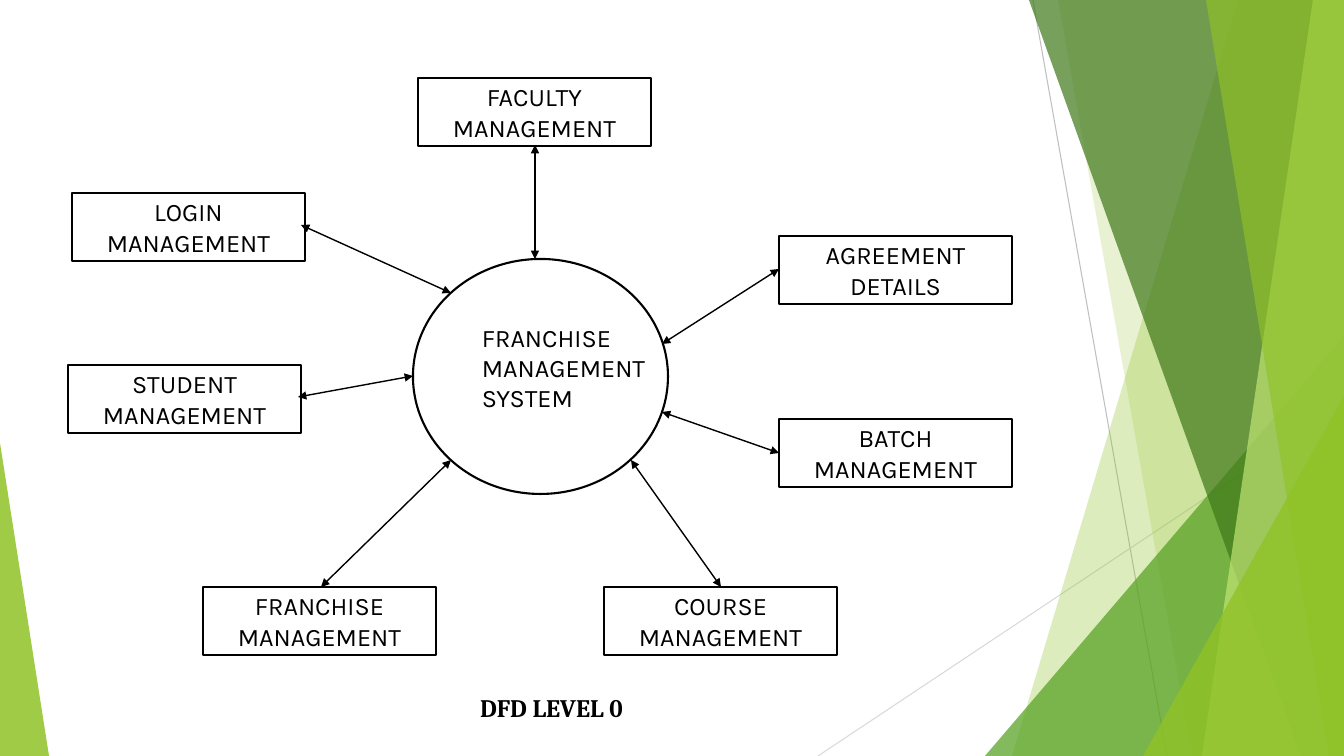
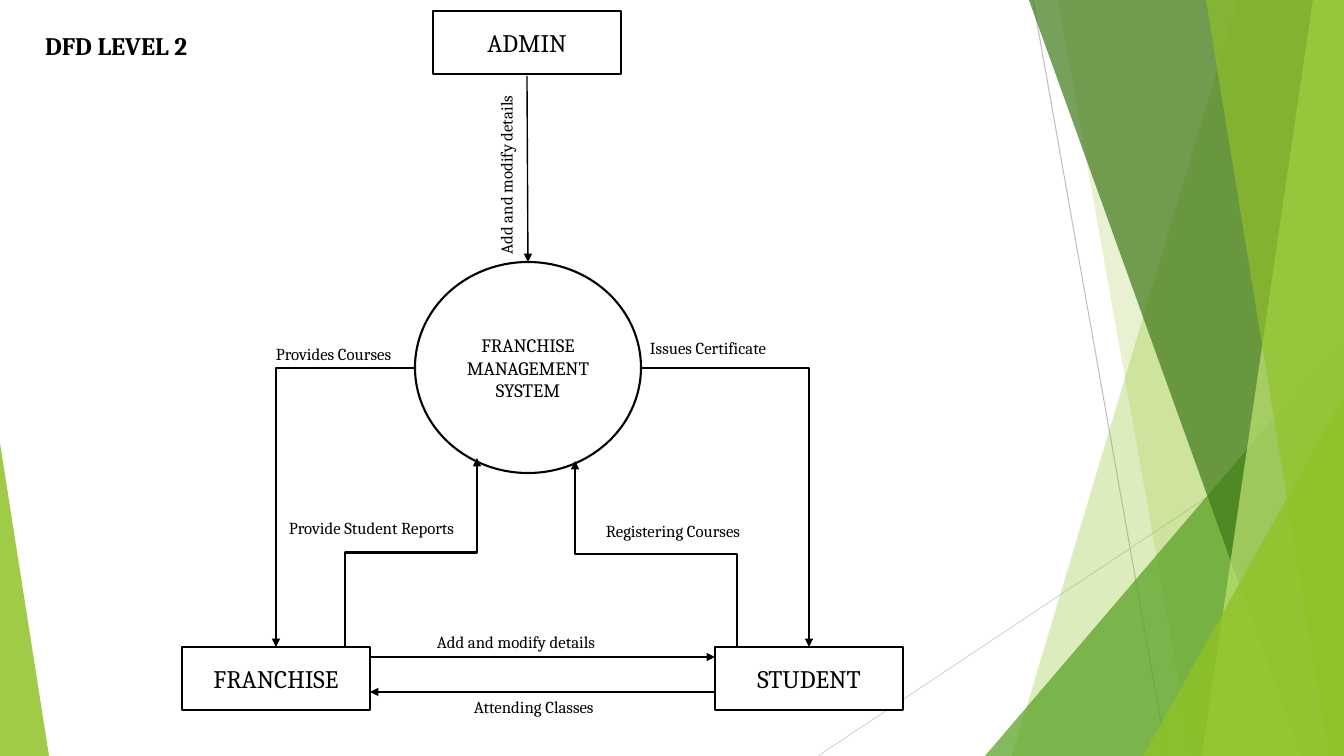
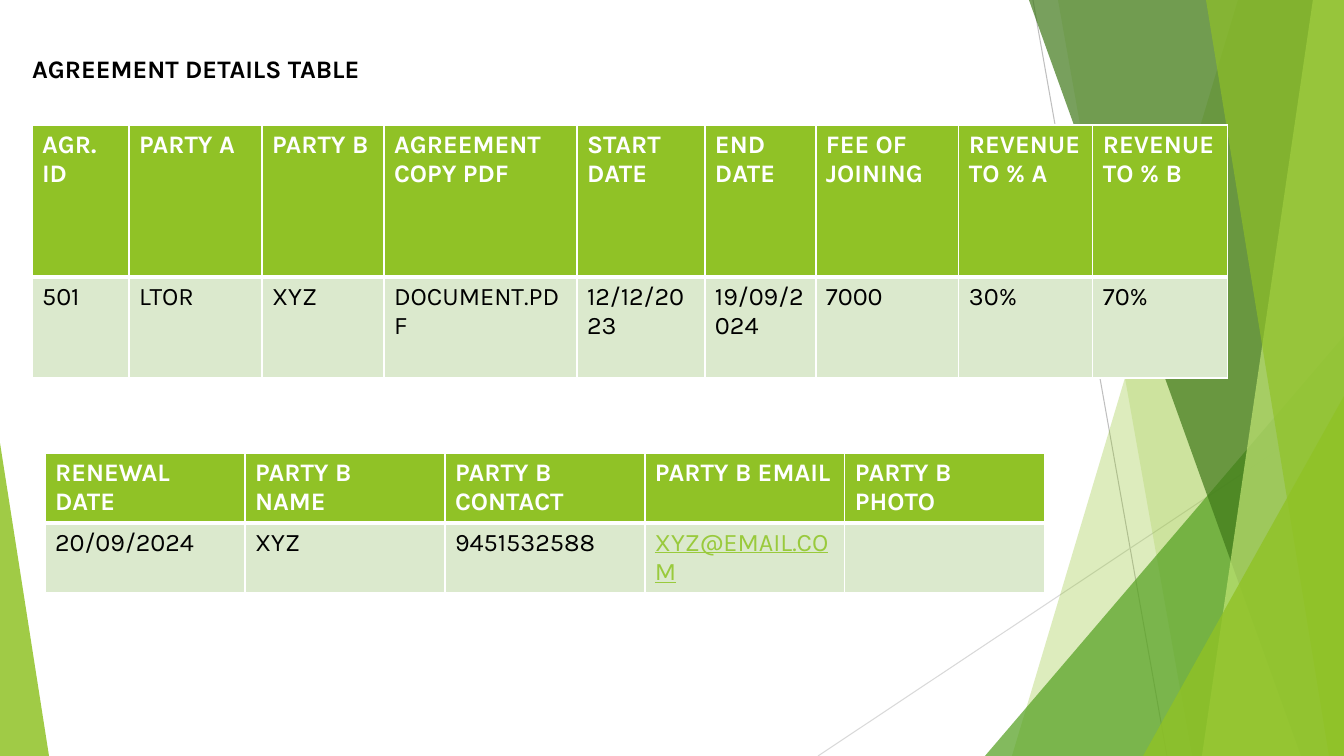
from lxml import etree
from pptx import Presentation
from pptx import util as u
from pptx.dml.color import RGBColor
from pptx.enum import shapes, text
from pptx.oxml import ns

SCALE = 914400 / 100.8
PAGE_W, PAGE_H = 1344, 756
BLACK = RGBColor(0x00, 0x00, 0x00)
WHITE = RGBColor(0xFF, 0xFF, 0xFF)
LIME = RGBColor(0x90, 0xC2, 0x26)
GREEN = RGBColor(0x54, 0xA0, 0x21)
FOREST = RGBColor(0x3F, 0x78, 0x19)
PALE_LIME = RGBColor(0xC0, 0xE4, 0x74)
PALE_ROW = RGBColor(0xDB, 0xE9, 0xCD)
LINK = RGBColor(0x99, 0xCA, 0x3C)
GREY = RGBColor(0xBF, 0xBF, 0xBF)
LIGHT_GREY = RGBColor(0xD9, 0xD9, 0xD9)
KARLA, CAMBRIA = "Karla", "Cambria"
LEFT, CENTER = text.PP_ALIGN.LEFT, text.PP_ALIGN.CENTER
SHAPE, LINK_KIND = shapes.MSO_SHAPE, shapes.MSO_CONNECTOR


def px(*lengths):
    return [u.Emu(round(length * SCALE)) for length in lengths]


def write(frame, wording, font, size=18, color=BLACK, bold=False, align=LEFT, underline=False):
    frame.word_wrap = True
    for index, line in enumerate(wording.split("\n")):
        para = frame.add_paragraph() if index else frame.paragraphs[0]
        para.alignment = align
        span = para.add_run()
        span.text = line
        span.font.name = font
        span.font.size = u.Pt(size)
        span.font.bold = bold
        span.font.underline = underline
        span.font.color.rgb = color


def add_title(page, wording, place, font):
    title = page.shapes.title
    title.left, title.top, title.width, title.height = px(*place)
    frame = title.text_frame
    frame.auto_size = text.MSO_AUTO_SIZE.NONE
    frame.vertical_anchor = text.MSO_ANCHOR.TOP
    write(frame, wording, font, bold=True)


def add_label(page, wording, place, font=CAMBRIA, size=12, rotation=0):
    box = page.shapes.add_textbox(*px(*place))
    box.rotation = rotation
    write(box.text_frame, wording, font, size)


def add_node(page, kind, place, wording="", font=KARLA, size=18):
    node = page.shapes.add_shape(kind, *px(*place))
    node.shadow.inherit = False
    node.fill.solid()
    node.fill.fore_color.rgb = WHITE
    node.line.color.rgb = BLACK
    node.line.width = u.Pt(1.5)
    if wording:
        node.text_frame.vertical_anchor = text.MSO_ANCHOR.MIDDLE
        write(node.text_frame, wording, font, size, align=CENTER)


def add_link(holder, start, end, width=1.0, color=BLACK, ends=(), kind=LINK_KIND.STRAIGHT):
    link = holder.shapes.add_connector(kind, *px(*start, *end))
    link.line.color.rgb = color
    link.line.width = u.Pt(width)
    properties = link.element.spPr
    for end_name in ends:
        etree.SubElement(properties.find(ns.qn("a:ln")), ns.qn("a:" + end_name), type="triangle")
    etree.SubElement(properties, ns.qn("a:effectLst"))
    return link


def add_corner(page, start, end, width):
    link = add_link(page, start, end, width, ends=["tailEnd"], kind=LINK_KIND.ELBOW)
    link.element.spPr.find(ns.qn("a:prstGeom")).set("prst", "bentConnector2")


def add_riser(page, start, end, width):
    middle_x, middle_y = (start[0] + end[0]) / 2, (start[1] + end[1]) / 2
    half_rise, half_run = (start[1] - end[1]) / 2, (end[0] - start[0]) / 2
    link = add_link(page, (middle_x - half_rise, middle_y - half_run),
                    (middle_x + half_rise, middle_y + half_run),
                    width, ends=["tailEnd"], kind=LINK_KIND.ELBOW)
    link.element.spPr.find(ns.qn("a:xfrm")).set("rot", str(270 * 60000))


def tint(facet, color, opacity):
    facet.shadow.inherit = False
    facet.fill.solid()
    facet.fill.fore_color.rgb = color
    facet.line.fill.background()
    for value in facet.element.spPr.iter(ns.qn("a:srgbClr")):
        etree.SubElement(value, ns.qn("a:alpha"), val=str(opacity * 1000))


def add_band(group, top_x, bottom_x, color, opacity):
    outline = group.shapes.build_freeform(top_x, 0, scale=SCALE)
    outline.add_line_segments([(PAGE_W, 0), (PAGE_W, PAGE_H), (bottom_x, PAGE_H)])
    tint(outline.convert_to_shape(), color, opacity)


def add_wedge(group, left, top, width, apex, color, opacity):
    wedge = group.shapes.add_shape(SHAPE.ISOSCELES_TRIANGLE, *px(left, top, width, PAGE_H - top))
    wedge.adjustments[0] = apex
    tint(wedge, color, opacity)


def decorate_master(deck, page):
    group = page.shapes.add_group_shape()
    add_link(group, (1033, 0), (1167, PAGE_H), 0.75, GREY)
    add_link(group, (PAGE_W, 406), (818, PAGE_H), 0.75, LIGHT_GREY)
    add_band(group, 1238, 1012, LIME, 30)
    add_band(group, 1058, 1192, LIME, 20)
    add_wedge(group, 985, 336, 359, 1, GREEN, 72)
    add_band(group, 1029, 1301, FOREST, 70)
    add_band(group, 1313, 1202, PALE_LIME, 70)
    add_band(group, 1206, 1329, LIME, 65)
    add_wedge(group, 1143, 396, 201, 1, LIME, 80)
    add_wedge(group, 0, 443, 49, 0, LIME, 85)
    deck.slide_master.shapes.element.insert(2, group.element)


def add_border(cell, side, width):
    line = etree.SubElement(cell._tc.get_or_add_tcPr(), ns.qn("a:ln" + side), w=str(u.Pt(width)))
    fill = etree.SubElement(line, ns.qn("a:solidFill"))
    etree.SubElement(fill, ns.qn("a:srgbClr"), val=str(WHITE))


def add_grid(page, left, top, widths, heights, rows):
    frame = page.shapes.add_table(len(rows), len(widths),
                                  *px(left, top, sum(widths), sum(heights)))
    table = frame.table
    table.horz_banding = False
    for column, width in zip(table.columns, px(*widths)):
        column.width = width
    for row, height in zip(table.rows, px(*heights)):
        row.height = height
    for row_index, wordings in enumerate(rows):
        header = row_index == 0
        for column_index, wording in enumerate(wordings):
            cell = table.cell(row_index, column_index)
            for side in "LRTB":
                thick = (header and side == "B") or (not header and side == "T")
                add_border(cell, side, 3 if thick else 1)
            cell.fill.solid()
            cell.fill.fore_color.rgb = LIME if header else PALE_ROW
            if wording:
                mail = "@" in wording
                color = WHITE if header else LINK if mail else BLACK
                write(cell.text_frame, wording, KARLA, color=color, bold=header, underline=mail)


def build_level_0(page):
    add_title(page, "DFD LEVEL 0", (470, 687, 506, 40), CAMBRIA)
    add_node(page, SHAPE.OVAL, (413, 259, 255, 235))
    add_label(page, "FRANCHISE\nMANAGEMENT\nSYSTEM", (472, 317, 184, 102), KARLA, 18)
    modules = [
        ("LOGIN MANAGEMENT", (72, 193), (301, 225), (451, 293)),
        ("FACULTY MANAGEMENT", (418, 78), (535, 145), (535, 259)),
        ("STUDENT MANAGEMENT", (68, 365), (298, 397), (413, 376)),
        ("COURSE MANAGEMENT", (604, 587), (721, 587), (631, 460)),
        ("BATCH MANAGEMENT", (779, 419), (779, 453), (662, 412)),
        ("AGREEMENT DETAILS", (779, 236), (779, 269), (662, 344)),
        ("FRANCHISE MANAGEMENT", (203, 587), (321, 587), (451, 460)),
    ]
    for wording, corner, start, end in modules:
        add_node(page, SHAPE.RECTANGLE, (*corner, 233, 68), wording)
        add_link(page, start, end, ends=["headEnd", "tailEnd"])


def build_level_2(page):
    add_title(page, "DFD LEVEL 2", (35, 25, 189, 40), CAMBRIA)
    add_node(page, SHAPE.FLOWCHART_CONNECTOR, (415, 262, 226, 211),
             "FRANCHISE MANAGEMENT SYSTEM", CAMBRIA, 13.5)
    for wording, left, top in [("ADMIN", 433, 11), ("STUDENT", 715, 647), ("FRANCHISE", 182, 647)]:
        add_node(page, SHAPE.RECTANGLE, (left, top, 188, 63), wording, CAMBRIA)
    add_link(page, (527, 76), (528, 262), ends=["tailEnd"])
    add_corner(page, (415, 368), (276, 647), 1.5)
    add_corner(page, (640, 368), (809, 647), 1)
    add_riser(page, (345, 647), (477, 458), 1.5)
    add_riser(page, (737, 647), (575, 461), 1.5)
    add_link(page, (371, 657), (715, 657), 1.5, ends=["tailEnd"])
    add_link(page, (715, 692), (370, 692), 1.5, ends=["tailEnd"])
    for wording, left, top, width, rotation in [
        ("Attending Classes", 464, 692, 290, 0),
        ("Add and modify details", 427, 627, 290, 0),
        ("Issues Certificate", 640, 333, 168, 0),
        ("Provides Courses", 266, 339, 149, 0),
        ("Add and modify details", 404, 147, 204, 270),
        ("Registering Courses", 596, 516, 173, 0),
        ("Provide Student Reports", 279, 513, 201, 0),
    ]:
        add_label(page, wording, (left, top, width, 30), rotation=rotation)


def build_agreement(page):
    add_title(page, "AGREEMENT DETAILS TABLE", (22, 48, 541, 40), KARLA)
    add_grid(page, 32, 125, [97, 133, 122, 193, 128, 111, 143, 134, 135], [152, 101], [
        ["AGR. ID", "PARTY A", "PARTY B", "AGREEMENT COPY PDF", "START DATE", "END DATE",
         "FEE OF JOINING", "REVENUE TO % A", "REVENUE TO % B"],
        ["501", "LTOR", "XYZ", "DOCUMENT.PDF", "12/12/2023", "19/09/2024", "7000", "30%", "70%"],
    ])
    add_grid(page, 45, 453, [200] * 5, [70, 70], [
        ["RENEWAL DATE", "PARTY B\nNAME", "PARTY B CONTACT", "PARTY B EMAIL", "PARTY B PHOTO"],
        ["20/09/2024", "XYZ", "9451532588", "XYZ@EMAIL.COM", ""],
    ])


def main():
    deck = Presentation()
    deck.slide_width, deck.slide_height = px(PAGE_W, PAGE_H)
    title_only = deck.slide_layouts[5]
    builders = [build_level_0, build_level_2, build_agreement]
    pages = [deck.slides.add_slide(title_only) for _ in builders]
    decorate_master(deck, pages[0])
    for build, page in zip(builders, pages):
        build(page)
    deck.save("out.pptx")


if __name__ == "__main__":
    main()
